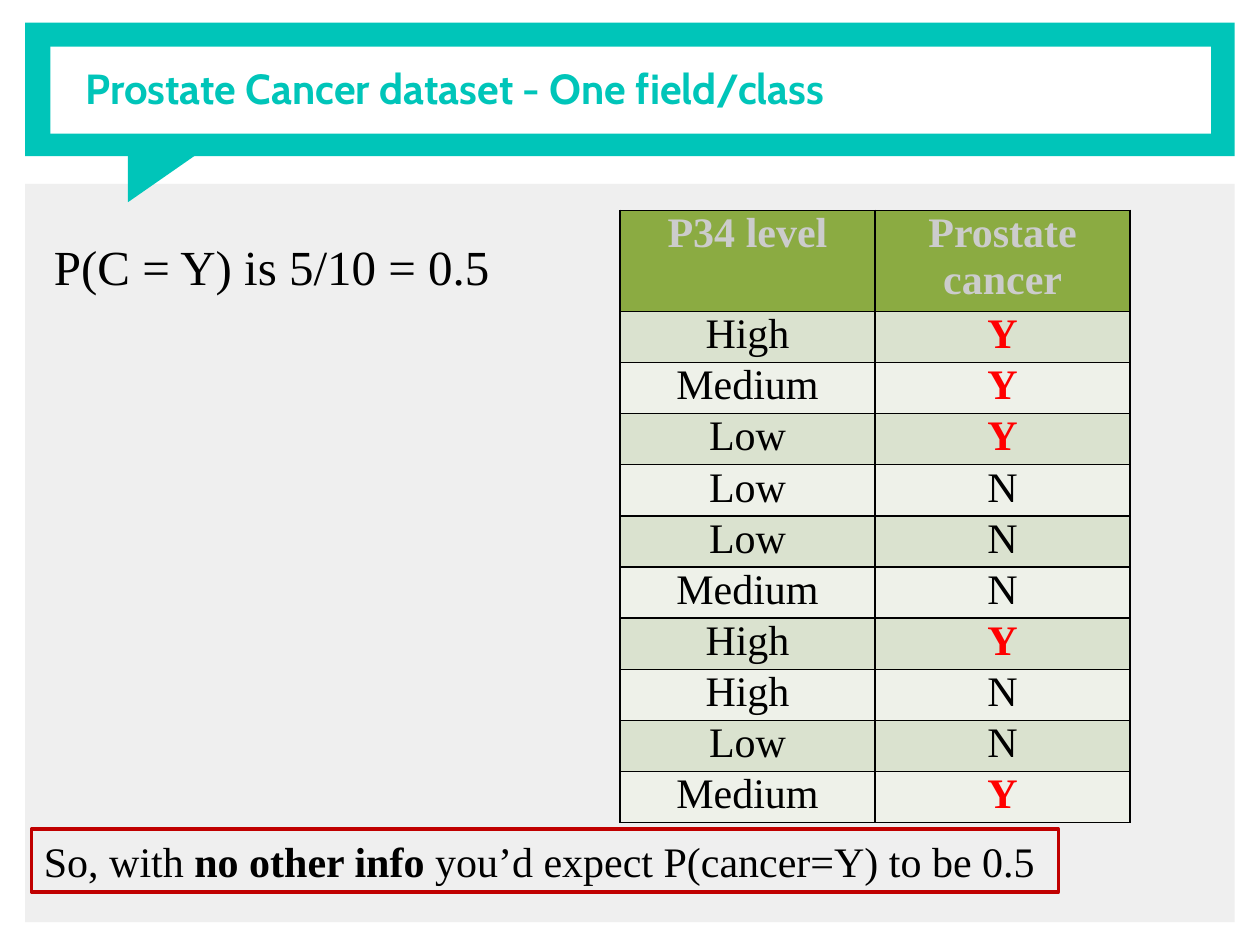
from lxml import etree
from pptx import Presentation, util as u
from pptx.dml.color import RGBColor
from pptx.enum import shapes, text
from pptx.oxml.ns import qn

# Grid of 100 columns by 75 rows over the whole page
WIDTH, HEIGHT = u.Inches(10), u.Inches(7.5)
COLUMN, ROW = WIDTH / 100, HEIGHT / 75

TEAL = RGBColor(0x00, 0xC5, 0xB9)
GREY = RGBColor(0xEF, 0xEF, 0xEF)
WHITE = RGBColor(0xFF, 0xFF, 0xFF)
BLACK = RGBColor(0x00, 0x00, 0x00)
RED = RGBColor(0xFF, 0x00, 0x00)
DARK_RED = RGBColor(0xC0, 0x00, 0x00)
HEADER_GREEN = RGBColor(0x8B, 0xAB, 0x42)
HEADER_TEXT = RGBColor(0xCC, 0xCC, 0xCC)
BANDS = (RGBColor(0xDA, 0xE2, 0xCF), RGBColor(0xEE, 0xF1, 0xE9))

SERIF = "Times New Roman"
HEADINGS = ("P34 level", "Prostate cancer")
PATIENTS = (
    ("High", "Y"), ("Medium", "Y"), ("Low", "Y"), ("Low", "N"), ("Low", "N"),
    ("Medium", "N"), ("High", "Y"), ("High", "N"), ("Low", "N"), ("Medium", "Y"),
)


def place(left, top, width, height):
    """Turn grid columns and rows into lengths."""
    return (u.Emu(round(left * COLUMN)), u.Emu(round(top * ROW)),
            u.Emu(round(width * COLUMN)), u.Emu(round(height * ROW)))


def add_block(page, kind, area, fill=None, line=None, rotation=0):
    block = page.shapes.add_shape(kind, *place(*area))
    block.shadow.inherit = False
    block.rotation = rotation
    if fill is None:
        block.fill.background()
    else:
        block.fill.solid()
        block.fill.fore_color.rgb = fill
    if line is None:
        block.line.fill.background()
    else:
        block.line.color.rgb = line
        block.line.width = u.Pt(2)
    return block


def style(span, size, color, name=SERIF, bold=False):
    span.font.size = u.Pt(size)
    span.font.name = name
    span.font.bold = bold
    span.font.color.rgb = color


def add_label(page, area, words, size, color, **looks):
    box = page.shapes.add_textbox(*place(*area))
    frame = box.text_frame
    frame.word_wrap = True
    frame.text = words
    style(frame.paragraphs[0].runs[0], size, color, **looks)
    return frame


def add_borders(cell):
    properties = cell._tc.get_or_add_tcPr()
    for index, side in enumerate(("lnL", "lnR", "lnT", "lnB")):
        edge = etree.Element(qn(f"a:{side}"), w=str(u.Pt(1)))
        fill = etree.SubElement(edge, qn("a:solidFill"))
        etree.SubElement(fill, qn("a:srgbClr"), val=str(BLACK))
        properties.insert(index, edge)


def fill_cell(cell, words, fill, color, bold):
    cell.margin_left = cell.margin_right = cell.margin_top = cell.margin_bottom = 0
    cell.fill.solid()
    cell.fill.fore_color.rgb = fill
    add_borders(cell)
    cell.text_frame.text = words
    para = cell.text_frame.paragraphs[0]
    para.alignment = text.PP_ALIGN.CENTER
    style(para.runs[0], 24, color, bold=bold)


def add_patient_table(page):
    area = (49.2, 16.7, 40.5, 48.6)
    header_rows = 8
    table = page.shapes.add_table(len(PATIENTS) + 1, len(HEADINGS), *place(*area)).table
    body_rows = (area[3] - header_rows) / len(PATIENTS)
    for index, row in enumerate(table.rows):
        row.height = u.Emu(round((body_rows if index else header_rows) * ROW))
    for cell, heading in zip(table.rows[0].cells, HEADINGS):
        fill_cell(cell, heading, HEADER_GREEN, HEADER_TEXT, True)
    for index, patient in enumerate(PATIENTS):
        for cell, value in zip(table.rows[index + 1].cells, patient):
            positive = value == "Y"
            fill_cell(cell, value, BANDS[index % 2], RED if positive else BLACK, positive)


def add_conclusion(page):
    box = add_block(page, shapes.MSO_SHAPE.RECTANGLE, (2.5, 65.8, 81.5, 5), line=DARK_RED)
    frame = box.text_frame
    frame.word_wrap = False
    para = frame.paragraphs[0]
    para.alignment = text.PP_ALIGN.LEFT
    for words, bold in (("So, with ", False), ("no other info", True),
                        (" you’d expect P(cancer=Y) to be 0.5", False)):
        span = para.add_run()
        span.text = words
        style(span, 24, BLACK, bold=bold)


def add_title(page):
    # Speech bubble: frame, tail and white inside
    kinds = shapes.MSO_SHAPE
    add_block(page, kinds.RECTANGLE, (2, 1.8, 96, 10.6), TEAL)
    add_block(page, kinds.RIGHT_TRIANGLE, (11.2, 10.2, 4.8, 6.9), TEAL, rotation=90)
    add_block(page, kinds.RECTANGLE, (4, 3.7, 92.1, 6.9), WHITE)
    frame = add_label(page, (5.8, 1.7, 87, 10.6), "Prostate Cancer dataset - One field/class",
                      24, TEAL, name="Cabin", bold=True)
    frame.vertical_anchor = text.MSO_ANCHOR.MIDDLE


def main():
    deck = Presentation()
    deck.slide_width, deck.slide_height = WIDTH, HEIGHT
    page = deck.slides.add_slide(deck.slide_layouts[6])

    # Background panel and title
    add_block(page, shapes.MSO_SHAPE.RECTANGLE, (2, 14.6, 96, 58.6), GREY)
    add_title(page)

    # Data, probability and conclusion
    add_patient_table(page)
    add_label(page, (3.3, 18.3, 38.3, 15.1), "P(C = Y) is 5/10 = 0.5", 28, BLACK)
    add_conclusion(page)

    deck.save("out.pptx")


if __name__ == "__main__":
    main()
